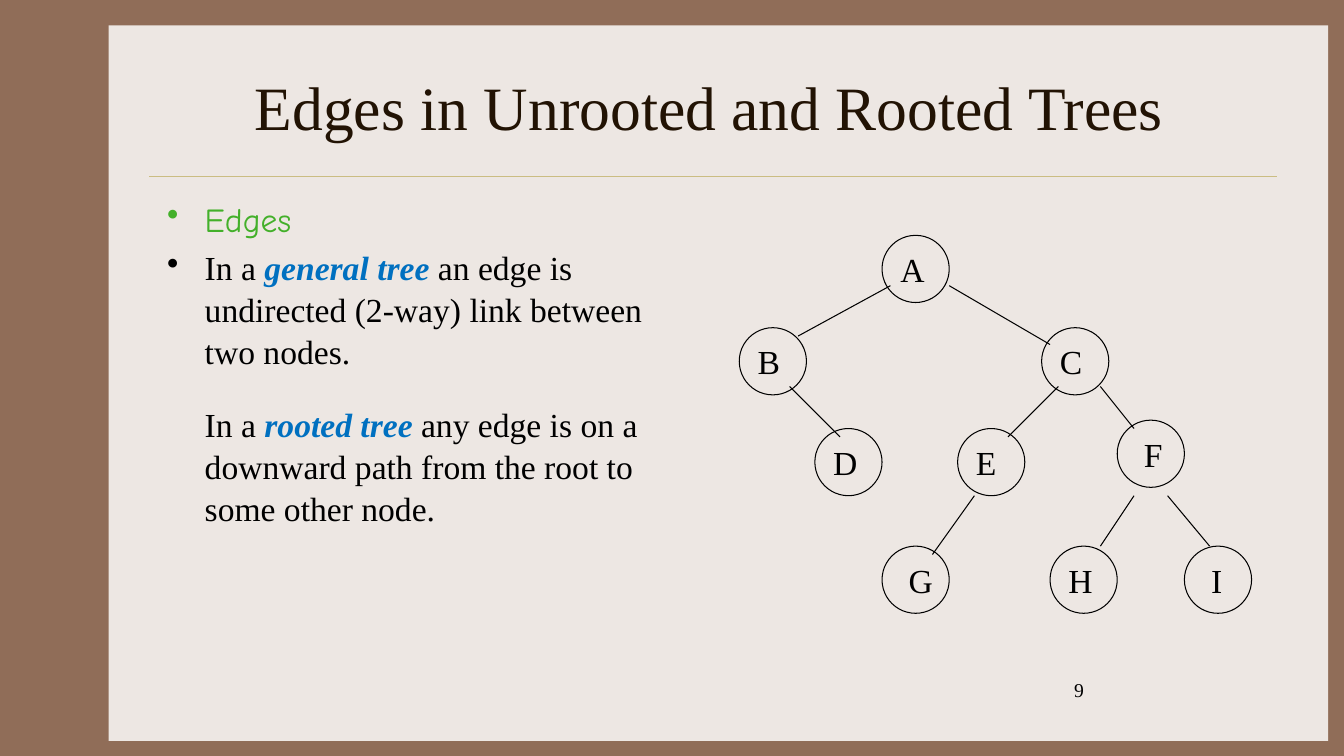
import pptx
import pptx.util
import pptx.dml.color
import pptx.enum.shapes
import pptx.enum.text
import lxml.etree
from pptx.util import Cm

SERIF = "Times New Roman"
BLACK = "000000"
BLUE = "0070C0"
UNIT = 2.54 / 12  # grid step of the tree, in cm
NODE = 8          # node diameter, in grid steps

# name: column, row, label column shift, label width in cm
NODES = {
    "A": (17, 0, 1, 1.12), "B": (0, 11, 1, 1.07), "C": (36, 11, 1, 1.07),
    "D": (9, 23, 1, 1.12), "E": (26, 23, 1, 1.02), "F": (45, 22, 2, 0.99),
    "G": (17, 37, 2, 1.12), "H": (37, 37, 1, 1.12), "I": (53, 37, 2, 0.79),
}
# start column, start row, end column, end row
EDGES = [
    (18, 6, 7, 12), (25, 6, 37, 13), (6, 18, 12, 24), (38, 18, 32, 24),
    (43, 18, 47, 23), (28, 31, 23, 38), (47, 31, 43, 37), (51, 31, 56, 37),
]


def paint(color, code):
    color.rgb = pptx.dml.color.RGBColor.from_string(code)


def add_run(para, text, size, code=BLACK, font=SERIF, strong=False):
    run = para.add_run()
    run.text = text
    run.font.size = pptx.util.Pt(size)
    run.font.name = font
    run.font.bold = run.font.italic = strong
    paint(run.font.color, code)


def add_box(slide, left, top, width, height, wrap=True):
    box = slide.shapes.add_textbox(Cm(left), Cm(top), Cm(width), Cm(height))
    box.text_frame.word_wrap = wrap
    return box.text_frame


def add_line(slide, x1, y1, x2, y2, code=BLACK, width=0.75):
    line = slide.shapes.add_connector(
        pptx.enum.shapes.MSO_CONNECTOR.STRAIGHT, Cm(x1), Cm(y1), Cm(x2), Cm(y2))
    paint(line.line.color, code)
    line.line.width = pptx.util.Pt(width)
    props = line._element.spPr
    lxml.etree.SubElement(props, pptx.oxml.ns.qn("a:effectLst"))


def add_bullet(para):
    para.space_before = pptx.util.Pt(4.8)
    props = para._p.get_or_add_pPr()
    props.set("marL", str(Cm(0.95)))
    props.set("indent", str(-Cm(0.95)))
    mark = lxml.etree.SubElement(props, pptx.oxml.ns.qn("a:buChar"))
    mark.set("char", "•")


def draw_panel(slide, left, top, width, height):
    fill = slide.background.fill
    fill.solid()
    paint(fill.fore_color, "906D58")
    panel = slide.shapes.add_shape(
        pptx.enum.shapes.MSO_SHAPE.RECTANGLE,
        Cm(left), Cm(top), Cm(width), Cm(height))
    panel.shadow.inherit = False
    panel.fill.solid()
    paint(panel.fill.fore_color, "EDE7E3")
    panel.line.fill.background()
    # Rule under the title
    rule = top + 3.81
    add_line(slide, left + 1.02, rule, left + width - 1.29, rule, "CBBD83", 0.25)


def draw_title(slide, left, top, width, height):
    frame = add_box(slide, left, top, width, height)
    frame.vertical_anchor = pptx.enum.text.MSO_ANCHOR.MIDDLE
    para = frame.paragraphs[0]
    para.alignment = pptx.enum.text.PP_ALIGN.CENTER
    add_run(para, "Edges in Unrooted and Rooted Trees ", 44, "221304")


def draw_body(slide, left, top, width, height):
    frame = add_box(slide, left, top, width, height)
    head = frame.paragraphs[0]
    add_bullet(head)
    add_run(head, "Edges", 24, "43B02A", "Comic Neue")
    # Both kinds of tree share one bullet
    para = frame.add_paragraph()
    para.line_spacing = 1.04
    add_bullet(para)
    add_run(para, "In a ", 24)
    add_run(para, "general tree", 24, BLUE, strong=True)
    add_run(para, " an edge is undirected (2-way) link between two nodes.", 24)
    para.add_line_break()
    para.add_line_break()
    add_run(para, "In a ", 24)
    add_run(para, "rooted tree", 24, BLUE, strong=True)
    add_run(para, " any edge is on a downward path from the root to "
                  "some other node.", 24)


def draw_tree(slide, left, top):
    def col(step):
        return left + step * UNIT

    def row(step):
        return top + step * UNIT

    # Circles
    for x, y, shift, width in NODES.values():
        ring = slide.shapes.add_shape(
            pptx.enum.shapes.MSO_SHAPE.OVAL, Cm(col(x)), Cm(row(y)),
            Cm(NODE * UNIT), Cm(NODE * UNIT))
        ring.shadow.inherit = False
        ring.fill.background()
        paint(ring.line.color, BLACK)
        ring.line.width = pptx.util.Pt(0.75)
    # Edges
    for x1, y1, x2, y2 in EDGES:
        add_line(slide, col(x1), row(y1), col(x2), row(y2))
    # Labels
    for name, (x, y, shift, width) in NODES.items():
        frame = add_box(slide, col(x + shift), row(y + 1), width, 1.27, False)
        frame.auto_size = pptx.enum.text.MSO_AUTO_SIZE.SHAPE_TO_FIT_TEXT
        add_run(frame.paragraphs[0], name, 24)


def draw_number(slide, left, top, width, height):
    frame = add_box(slide, left, top, width, height)
    add_run(frame.paragraphs[0], "9", 14)


def main():
    deck = pptx.Presentation()
    deck.slide_width, deck.slide_height = Cm(33.87), Cm(19.05)
    slide = deck.slides.add_slide(deck.slide_layouts[6])
    draw_panel(slide, 2.74, 0.64, 30.73, 18.03)
    draw_title(slide, 3.96, 1.07, 28.22, 3.18)
    draw_body(slide, 3.96, 4.88, 13.82, 11.43)
    draw_number(slide, 26.82, 16.97, 7.05, 1.27)
    draw_tree(slide, 18.63, 5.93)
    deck.save("out.pptx")


if __name__ == "__main__":
    main()
